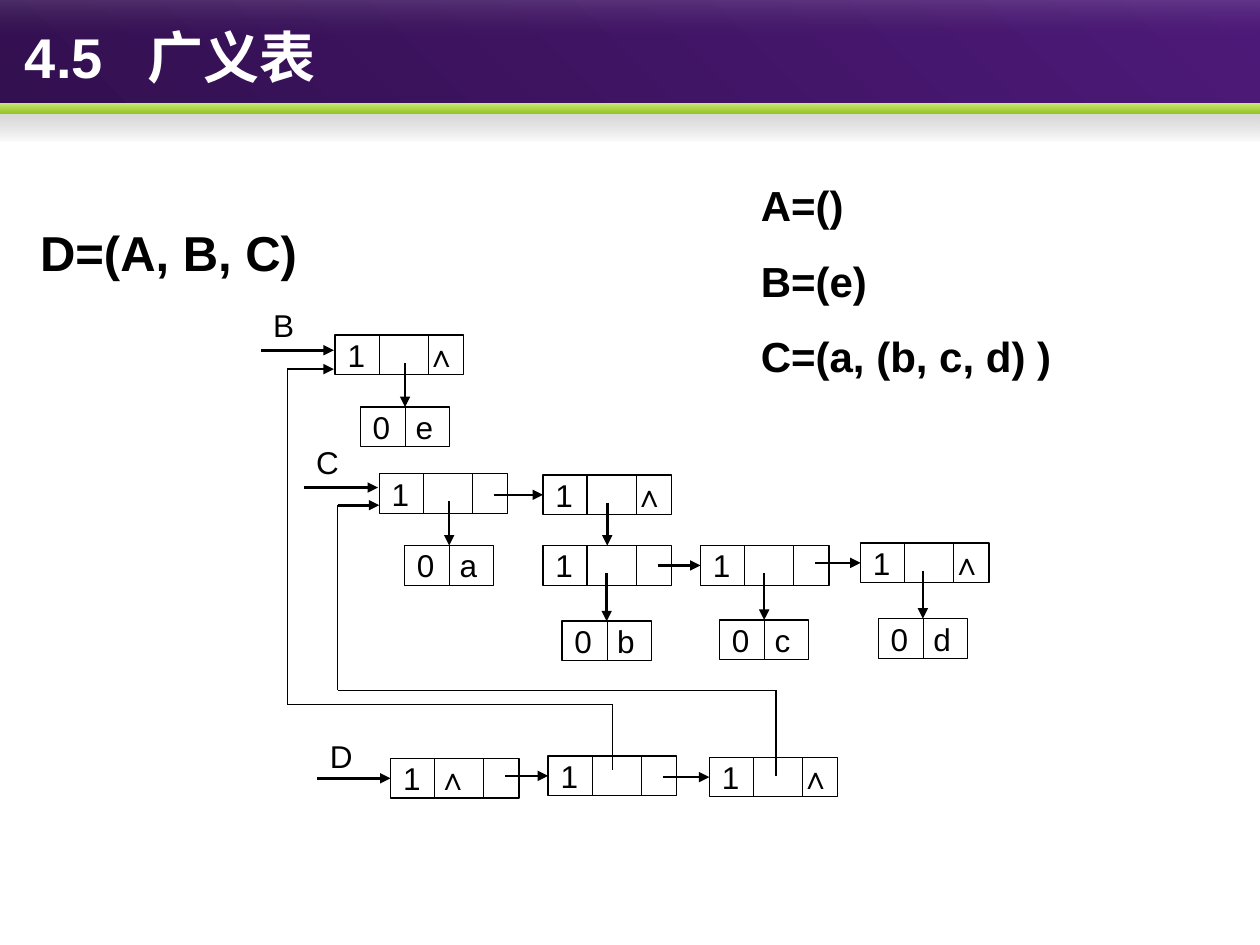
import itertools

import pptx
import pptx.dml.color
import pptx.enum.shapes
import pptx.enum.text
import pptx.oxml
import pptx.oxml.ns
import pptx.util

COLORS = {
    "black": "000000", "white": "FFFFFF", "purple dark": "331050", "purple": "4D1979",
    "green light": "C9E576", "green": "97C523", "gray": "808080",
    "gray dark": "3B3B3B", "gloss end": "767676",
}
RECTANGLE = pptx.enum.shapes.MSO_SHAPE.RECTANGLE
NAMESPACE = pptx.oxml.ns.nsdecls("a")

presentation = pptx.Presentation()
presentation.slide_width = pptx.util.Inches(10)
presentation.slide_height = pptx.util.Inches(7.5)
COLUMN = presentation.slide_width / 100
ROW = presentation.slide_height / 75
slide = presentation.slides.add_slide(presentation.slide_layouts[6])


def write_text(shape, text, size=18, bold=False, color="black", spacing=None, tab=None,
               anchor="MIDDLE", vertical_inset=0.5):
    """Fill a shape with left-aligned paragraphs; tab is a stop in columns."""
    frame = shape.text_frame
    frame.word_wrap = True
    frame.vertical_anchor = pptx.enum.text.MSO_ANCHOR[anchor]
    frame.margin_left = round(COLUMN)
    frame.margin_right = 0
    frame.margin_top = frame.margin_bottom = round(vertical_inset * ROW)
    frame.text = text
    for paragraph in frame.paragraphs:
        paragraph.alignment = pptx.enum.text.PP_ALIGN.LEFT
        if spacing:
            paragraph.line_spacing = spacing
        if tab:
            paragraph._p.get_or_add_pPr().append(pptx.oxml.parse_xml(
                f'<a:tabLst {NAMESPACE}><a:tab pos="{round(tab * COLUMN)}" algn="l"/></a:tabLst>'))
        for run in paragraph.runs:
            run.font.name = "Arial"
            run.font.size = pptx.util.Pt(size)
            run.font.bold = bold
            run.font.color.rgb = pptx.dml.color.RGBColor.from_string(COLORS[color])


def draw_line(start, end, arrow=False, target=None, site=None):
    """Join two (column, row) points, gluing the end to a side of target if given."""
    connector = slide.shapes.add_connector(
        pptx.enum.shapes.MSO_CONNECTOR.STRAIGHT,
        round(start[0] * COLUMN), round(start[1] * ROW),
        round(end[0] * COLUMN), round(end[1] * ROW))
    connector.line.color.rgb = pptx.dml.color.RGBColor.from_string(COLORS["black"])
    connector.line.width = pptx.util.Pt(1.5 if arrow else 0.75)
    if arrow:
        connector.line._get_or_add_ln().append(
            pptx.oxml.parse_xml(f'<a:tailEnd {NAMESPACE} type="triangle"/>'))
    connector._element.spPr.append(pptx.oxml.parse_xml(f"<a:effectLst {NAMESPACE}/>"))
    if target is not None:
        connector.end_connect(target, site)


# Header bands: top, height, angle, then (colour, opacity in percent) of both ends
bands = [
    (0, 9, 45, ("purple dark", 100), ("purple", 100)),
    (8.8, 2.4, 270, ("gray", 33), ("gray dark", 0)),
    (8.2, 0.8, 270, ("green light", 100), ("green", 100)),
    (0, 2.8, 270, ("white", 13), ("gloss end", 0)),
]
for top, height, angle, *ends in bands:
    band = slide.shapes.add_shape(
        RECTANGLE, 0, round(top * ROW), presentation.slide_width, round(height * ROW))
    band.shadow.inherit = False
    band.line.fill.background()
    band.fill.gradient()
    band.fill.gradient_angle = angle
    for stop, (color, opacity) in zip(band.fill.gradient_stops, ends):
        stop.color.rgb = pptx.dml.color.RGBColor.from_string(COLORS[color])
    for element, (color, opacity) in zip(band._element.spPr.xpath(".//a:srgbClr"), ends):
        if opacity < 100:
            element.append(pptx.oxml.parse_xml(
                f'<a:alpha {NAMESPACE} val="{opacity * 1000}"/>'))

# Headings, definitions and list names
texts = [
    (1, 0, 99, 8.9, "4.5\t广义表", dict(size=32, bold=True, color="white", tab=9.7)),
    (2.2, 17.2, 50, 5.5, "D=(A, B, C)", dict(size=28, bold=True, anchor="TOP")),
    (59.4, 11.75, 34.4, 19, "A=()\nB=(e)\nC=(a, (b, c, d) )",
     dict(size=24, bold=True, spacing=1.5, anchor="TOP")),
    (20.7, 23.8, 3.9, 3.9, "B", {}),
    (24.1, 34.7, 3.9, 3.9, "C", {}),
    (25.2, 58, 3.9, 3.9, "D", {}),
]
for left, top, width, height, text, text_format in texts:
    box = slide.shapes.add_textbox(
        round(left * COLUMN), round(top * ROW), round(width * COLUMN), round(height * ROW))
    write_text(box, text, **text_format)

# Nodes: width and divider offsets by kind, then left, top, kind, text, tab
BOX_HEIGHT = 3.15
kinds = {"list": (10.2, (3.5, 7.4)), "atom": (7.1, (3.6,))}
nodes = {
    "B1": (26.6, 26.6, "list", "1\t∧", 6.2),
    "e": (28.6, 32.3, "atom", "0\te", 3.4),
    "C1": (30.1, 37.6, "list", "1", None),
    "a": (32.1, 43.3, "atom", "0\ta", 3.4),
    "C2": (43.1, 37.7, "list", "1\t∧", 6.2),
    "S1": (43.1, 43.3, "list", "1", None),
    "b": (44.6, 49.3, "atom", "0\tb", 3.4),
    "S2": (55.6, 43.3, "list", "1", None),
    "c": (57.1, 49.2, "atom", "0\tc", 3.4),
    "S3": (68.3, 43.1, "list", "1\t∧", 6.2),
    "d": (69.7, 49.1, "atom", "0\td", 3.4),
    "D1": (31, 60.2, "list", "1\t∧", 2.7),
    "D2": (43.5, 60, "list", "1", None),
    "D3": (56.3, 60.1, "list", "1\t∧", 6.2),
}
boxes = {}
for name, (left, top, kind, text, tab) in nodes.items():
    width, dividers = kinds[kind]
    box = slide.shapes.add_shape(
        RECTANGLE, round(left * COLUMN), round(top * ROW),
        round(width * COLUMN), round(BOX_HEIGHT * ROW))
    box.shadow.inherit = False
    box.fill.background()
    box.line.color.rgb = pptx.dml.color.RGBColor.from_string(COLORS["black"])
    box.line.width = pptx.util.Pt(0.75)
    write_text(box, text, tab=tab, vertical_inset=0)
    for offset in dividers:
        draw_line((left + offset, top), (left + offset, top + BOX_HEIGHT))
    boxes[name] = box

# Tail pointers run right, head pointers run down
for source, target in [("C1", "C2"), ("S1", "S2"), ("S2", "S3"), ("D1", "D2"), ("D2", "D3")]:
    left, top = nodes[target][:2]
    middle = top + BOX_HEIGHT / 2
    draw_line((nodes[source][0] + 9.1, middle), (left, middle), True, boxes[target], 1)
for source, target in [("B1", "e"), ("C1", "a"), ("C2", "S1"),
                       ("S1", "b"), ("S2", "c"), ("S3", "d")]:
    left, top, kind = nodes[target][:3]
    center = left + kinds[kind][0] / 2
    draw_line((center, nodes[source][1] + 2.2), (center, top), True, boxes[target], 0)

# Entry pointers of the named lists
draw_line((20.7, 27.8), (26.5, 27.8), True)
draw_line((24.1, 38.7), (30, 38.7), True)
entry = nodes["D1"][1] + BOX_HEIGHT / 2
draw_line((25.2, entry), (31, entry), True, boxes["D1"], 1)

# Shared sublists: routes from D back to B and C
routes = [
    (26.5, [(22.8, 29.3), (22.8, 55.9), (48.6, 55.9), (48.6, 61.1)]),
    (30.1, [(26.8, 40.1), (26.8, 54.8), (61.6, 54.8), (61.6, 61.6)]),
]
for arrow_end, points in routes:
    draw_line(points[0], (arrow_end, points[0][1]), True)
    for start, end in itertools.pairwise(points):
        draw_line(start, end)

presentation.save("out.pptx")
